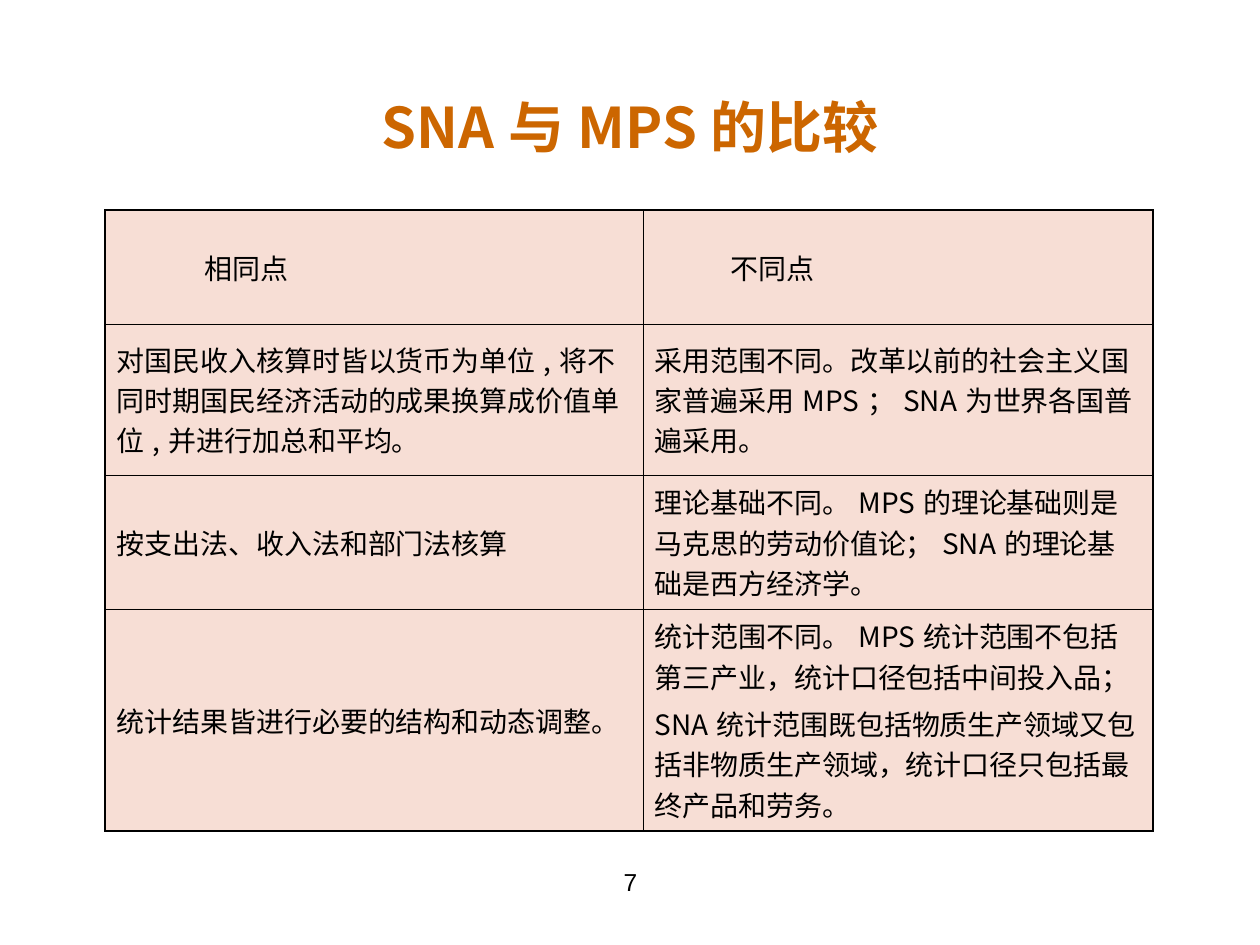
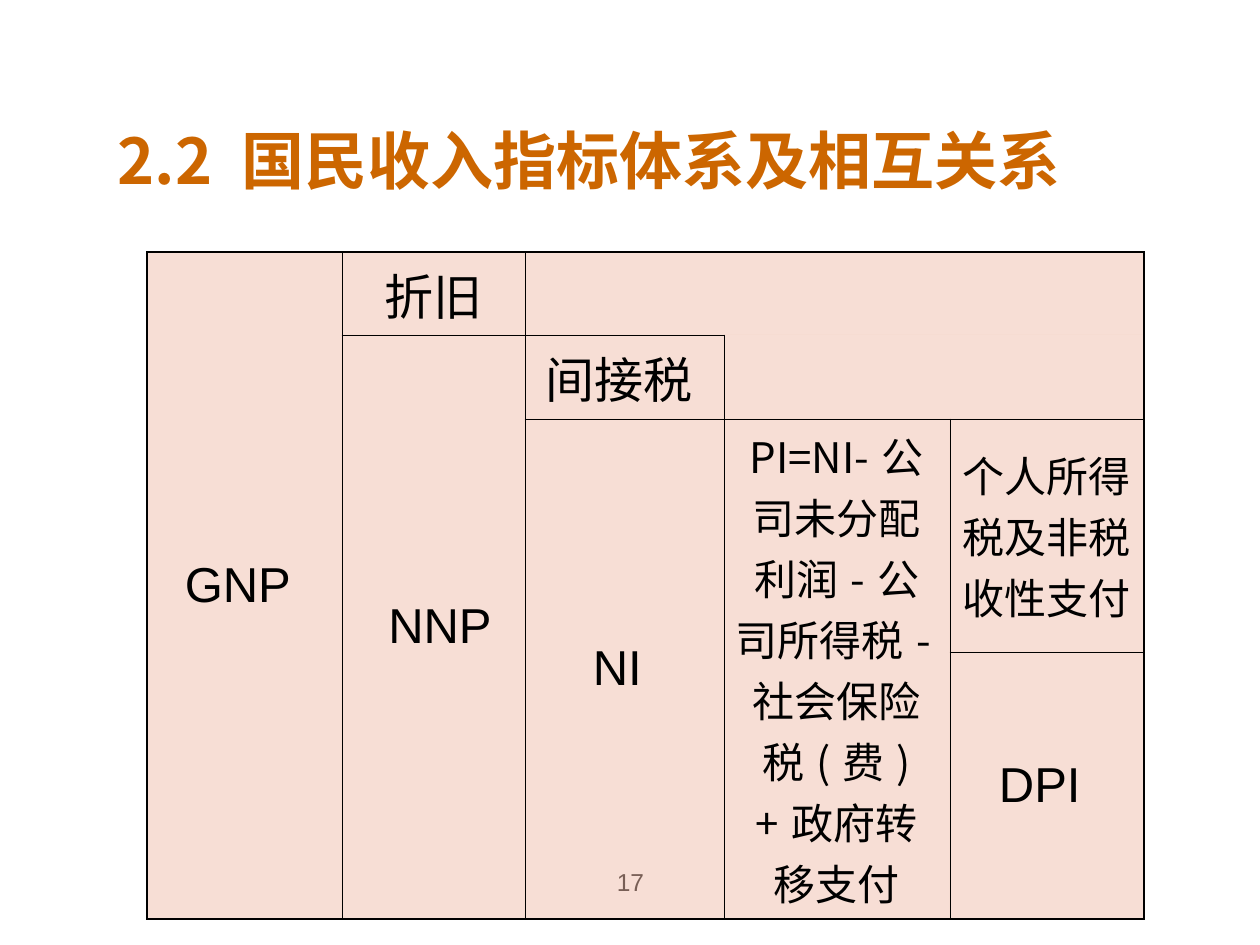
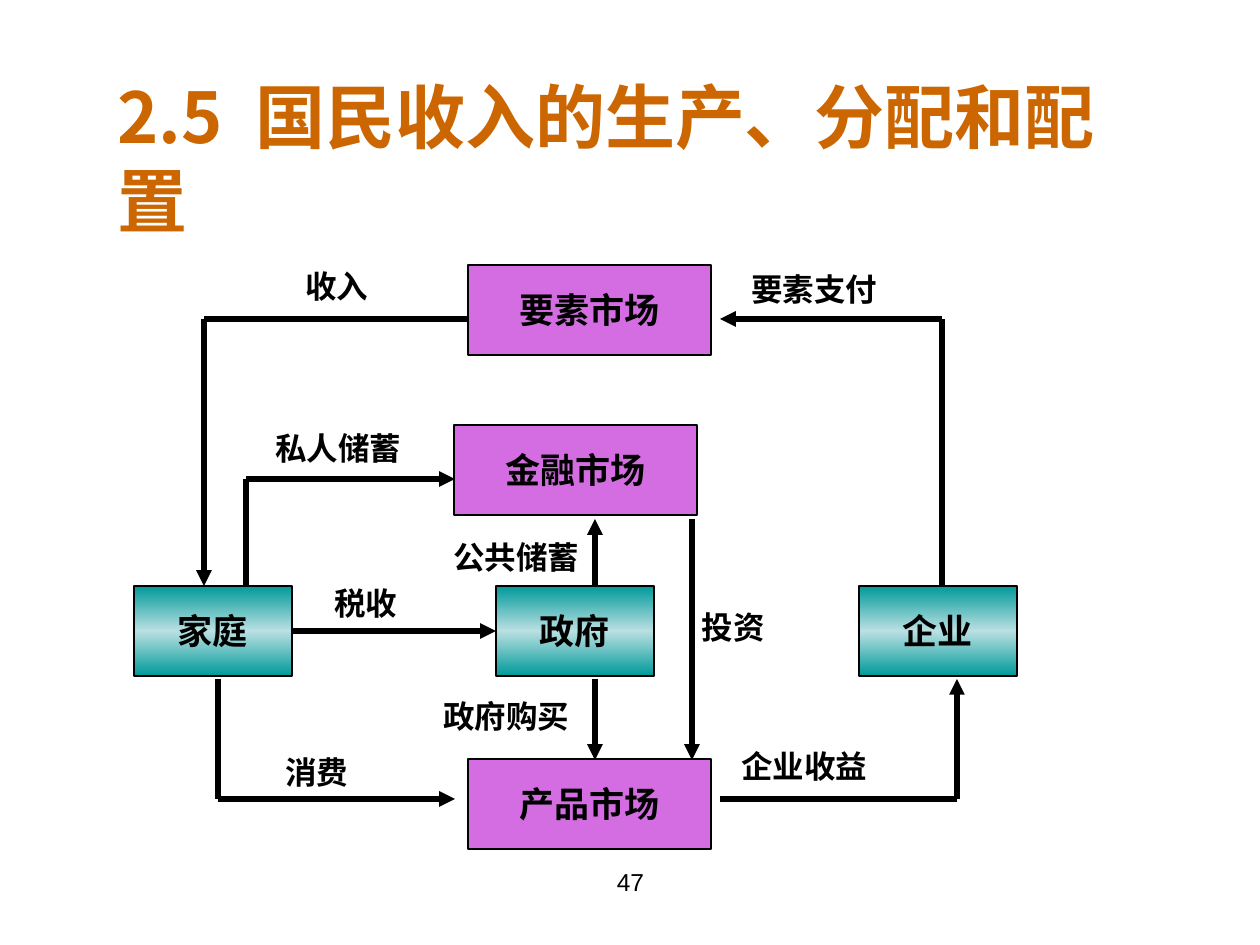
from copy import deepcopy
from dataclasses import dataclass
from itertools import product
from typing import Optional

from lxml.etree import SubElement
from pptx import Presentation
from pptx.dml.color import RGBColor
from pptx.enum.shapes import MSO_CONNECTOR, MSO_SHAPE
from pptx.enum.text import MSO_ANCHOR, MSO_AUTO_SIZE, PP_ALIGN
from pptx.oxml.ns import qn
from pptx.util import Emu, Pt

# Shared look
PX_PER_INCH = 126
COLORS = {
    "title": "CC6600",
    "text": "000000",
    "line": "000000",
    "cell": "F1BFAD",
    "market": "D36DE1",
    "sector_edge": "009999",
    "sector_middle": "BBE0E3",
}
CJK_FONT = "Noto Sans CJK SC"
LATIN_FONT = "Arial"
BOX_FONT = "Cabin"
PLAIN_TABLE_STYLE = "{2D5ABB26-0587-4C30-8999-92F81FD0307C}"
OUTER_BORDER, INNER_BORDER = Pt(1.08), Pt(0.45)


@dataclass
class Title:
    text: str
    box: tuple[int, int, int, int]
    size: int
    align: PP_ALIGN = PP_ALIGN.LEFT


@dataclass
class Cell:
    row: int
    column: int
    text: str = ""
    row_span: int = 1
    column_span: int = 1
    size: int = 28
    font: str = LATIN_FONT
    align: PP_ALIGN = PP_ALIGN.CENTER
    left_margin: int = 12
    open_side: str = ""


@dataclass
class Box:
    text: str
    left: int
    top: int
    is_market: bool = False


@dataclass
class Flow:
    label: str
    label_box: tuple[int, int, int]
    points: list[tuple[int, int]]
    align: PP_ALIGN = PP_ALIGN.LEFT
    source: Optional[str] = None
    target: Optional[str] = None


def px(value: int) -> Emu:
    return Emu(round(value * 914400 / PX_PER_INCH))


def color(name: str) -> RGBColor:
    return RGBColor.from_string(COLORS[name])


def style(paragraph, size: int, font: str, align: PP_ALIGN,
          bold: bool = False, color_name: str = "text") -> None:
    paragraph.alignment = align
    paragraph.font.size = Pt(size)
    paragraph.font.bold = bold
    paragraph.font.color.rgb = color(color_name)
    paragraph.font.name = font
    properties = paragraph._p.pPr.find(qn("a:defRPr"))
    SubElement(properties, qn("a:ea"), typeface=CJK_FONT)


def add_text(slide, text: str, left: int, top: int, width: int, height: int,
             size: int, align: PP_ALIGN, bold: bool = False) -> None:
    frame = slide.shapes.add_textbox(px(left), px(top), px(width), px(height)).text_frame
    frame.word_wrap = True
    frame.text = text
    style(frame.paragraphs[0], size, LATIN_FONT, align, bold)


def add_slide(presentation, title: Title, number: int):
    slide = presentation.slides.add_slide(presentation.slide_layouts[5])
    shape = slide.shapes.title
    shape.left, shape.top, shape.width, shape.height = map(px, title.box)
    frame = shape.text_frame
    frame.text = title.text
    frame.auto_size = MSO_AUTO_SIZE.NONE
    frame.vertical_anchor = MSO_ANCHOR.MIDDLE
    style(frame.paragraphs[0], title.size, CJK_FONT, title.align, True, "title")
    add_text(slide, str(number), 431, 861, 399, 65, 14, PP_ALIGN.CENTER)
    return slide


# Tables
def add_border(cell, side: str, width: Emu, is_open: bool) -> None:
    line = SubElement(cell._tc.get_or_add_tcPr(), qn(f"a:ln{side}"), w=str(int(width)))
    if is_open:
        SubElement(line, qn("a:noFill"))
    else:
        fill = SubElement(line, qn("a:solidFill"))
        SubElement(fill, qn("a:srgbClr"), val=COLORS["line"])


def format_region(table, spec: Cell) -> None:
    last_row = spec.row + spec.row_span - 1
    last_column = spec.column + spec.column_span - 1
    at_table_edge = {
        "L": spec.column == 0,
        "R": last_column == len(table.columns) - 1,
        "T": spec.row == 0,
        "B": last_row == len(table.rows) - 1,
    }
    for row, column in product(range(spec.row, last_row + 1),
                               range(spec.column, last_column + 1)):
        cell = table.cell(row, column)
        is_origin = (row, column) == (spec.row, spec.column)
        at_region_edge = {
            "L": column == spec.column,
            "R": column == last_column,
            "T": row == spec.row,
            "B": row == last_row,
        }
        for side, is_outer in at_table_edge.items():
            if is_origin or at_region_edge[side]:
                add_border(cell, side, OUTER_BORDER if is_outer else INNER_BORDER,
                           side == spec.open_side)
        cell.fill.solid()
        cell.fill.fore_color.rgb = color("cell")
        tint = cell._tc.tcPr.find(qn("a:solidFill")).find(qn("a:srgbClr"))
        SubElement(tint, qn("a:alpha"), val="50000")


def add_grid(slide, left: int, top: int, widths: list[int], heights: list[int],
             cells: list[Cell]) -> None:
    frame = slide.shapes.add_table(len(heights), len(widths), px(left), px(top),
                                   px(sum(widths)), px(sum(heights)))
    table = frame.table
    table.first_row = table.horz_banding = False
    table._tbl.tblPr.find(qn("a:tableStyleId")).text = PLAIN_TABLE_STYLE
    for column, width in zip(table.columns, widths):
        column.width = px(width)
    for row, height in zip(table.rows, heights):
        row.height = px(height)
    for spec in cells:
        cell = table.cell(spec.row, spec.column)
        if spec.row_span * spec.column_span > 1:
            cell.merge(table.cell(spec.row + spec.row_span - 1,
                                  spec.column + spec.column_span - 1))
        format_region(table, spec)
        cell.vertical_anchor = MSO_ANCHOR.MIDDLE
        cell.margin_left = px(spec.left_margin)
        if not spec.text:
            continue
        cell.text = spec.text
        for index, paragraph in enumerate(cell.text_frame.paragraphs):
            if index:
                paragraph.space_before = Pt(4)
            style(paragraph, spec.size, spec.font, spec.align)


# Flow diagram
def add_box(slide, box: Box):
    shape = slide.shapes.add_shape(MSO_SHAPE.RECTANGLE, px(box.left), px(box.top),
                                   px(243 if box.is_market else 158), px(90))
    shape.shadow.inherit = False
    shape.line.color.rgb = color("line")
    shape.line.width = Pt(0.75)
    if box.is_market:
        shape.fill.solid()
        shape.fill.fore_color.rgb = color("market")
    else:
        shape.fill.gradient()
        shape.fill.gradient_angle = 90
        stop_list = shape._element.spPr.find(qn("a:gradFill")).find(qn("a:gsLst"))
        stop_list.insert(1, deepcopy(stop_list[0]))
        names = ("sector_edge", "sector_middle", "sector_edge")
        for index, (stop, name) in enumerate(zip(shape.fill.gradient_stops, names)):
            stop.position = index / 2
            stop.color.rgb = color(name)
    frame = shape.text_frame
    frame.word_wrap = False
    frame.vertical_anchor = MSO_ANCHOR.MIDDLE
    frame.text = box.text
    style(frame.paragraphs[0], 20, BOX_FONT, PP_ALIGN.CENTER, True)
    return shape


def add_flow(slide, flow: Flow, shapes: dict) -> None:
    for start, end in zip(flow.points, flow.points[1:]):
        connector = slide.shapes.add_connector(
            MSO_CONNECTOR.STRAIGHT, *map(px, start), *map(px, end))
        connector.line.color.rgb = color("line")
        connector.line.width = Pt(3)
        if end == flow.points[-1]:
            SubElement(connector.line._get_or_add_ln(), qn("a:tailEnd"), type="triangle")
        SubElement(connector._element.spPr, qn("a:effectLst"))
        if flow.source:
            connector.begin_connect(shapes[flow.source], 3)
        if flow.target:
            connector.end_connect(shapes[flow.target], 1)
    left, top, width = flow.label_box
    add_text(slide, flow.label, left, top, width, 50, 18, flow.align, True)


# Slide contents
COMPARISON = [
    ("相同点", "不同点"),
    ("对国民收入核算时皆以货币为单位,将不同时期国民经济活动的成果换算成价值单位,并进行加总和平均。",
     "采用范围不同。改革以前的社会主义国家普遍采用MPS；SNA为世界各国普遍采用。"),
    ("按支出法、收入法和部门法核算",
     "理论基础不同。MPS的理论基础则是马克思的劳动价值论；SNA的理论基础是西方经济学。"),
    ("统计结果皆进行必要的结构和动态调整。",
     "统计范围不同。MPS统计范围不包括第三产业，统计口径包括中间投入品；\n"
     "SNA统计范围既包括物质生产领域又包括非物质生产领域，统计口径只包括最终产品和劳务。"),
]
HEADER_MARGINS = (100, 88)

INDICATORS = [
    Cell(0, 0, "GNP ", row_span=4),
    Cell(0, 1, "折旧"),
    Cell(0, 2, column_span=3, open_side="B"),
    Cell(1, 1, " NNP", row_span=3),
    Cell(1, 2, "间接税 "),
    Cell(1, 3, column_span=2, open_side="T"),
    Cell(2, 2, "NI ", row_span=2),
    Cell(2, 3, "PI=NI-公司未分配利润-公司所得税-社会保险税(费)+政府转移支付",
         row_span=2, size=24, font=CJK_FONT),
    Cell(2, 4, "个人所得税及非税收性支付 ", size=24),
    Cell(3, 4, "DPI "),
]

BOXES = [
    Box("企业", 859, 586),
    Box("家庭", 134, 586),
    Box("政府", 496, 586),
    Box("金融市场", 454, 425, True),
    Box("要素市场", 468, 265, True),
    Box("产品市场", 468, 759, True),
]

FLOWS = [
    Flow("收入", (293, 261, 96), [(469, 319), (204, 319), (204, 586)]),
    Flow("要素支付", (739, 264, 169), [(942, 586), (942, 319), (720, 319)]),
    Flow("私人储蓄", (263, 423, 195), [(246, 586), (246, 479), (455, 479)]),
    Flow("公共储蓄", (441, 532, 159), [(595, 586), (595, 519)]),
    Flow("税收", (322, 578, 96), [(292, 631), (496, 631)], source="家庭", target="政府"),
    Flow("投资", (670, 602, 127), [(692, 519), (692, 760)], PP_ALIGN.CENTER),
    Flow("政府购买", (431, 691, 169), [(595, 679), (595, 760)]),
    Flow("消费", (273, 747, 96), [(218, 679), (218, 799), (455, 799)]),
    Flow("企业收益", (729, 741, 194), [(720, 799), (957, 799), (957, 679)]),
]


def main() -> None:
    presentation = Presentation()
    presentation.slide_width, presentation.slide_height = px(1260), px(945)

    # Comparison of the two systems
    slide = add_slide(presentation, Title("SNA与MPS的比较", (221, 84, 819, 84), 32,
                                          PP_ALIGN.CENTER), 7)
    cells = [
        Cell(row, column, text, size=16, font=CJK_FONT, align=PP_ALIGN.LEFT,
             left_margin=12 if row else HEADER_MARGINS[column])
        for row, texts in enumerate(COMPARISON) for column, text in enumerate(texts)
    ]
    add_grid(slide, 105, 210, [538, 510], [114, 151, 134, 222], cells)

    # Income indicators
    slide = add_slide(presentation, Title("2.2 国民收入指标体系及相互关系",
                                          (105, 115, 1081, 88), 36), 17)
    add_grid(slide, 147, 252, [195, 183, 199, 226, 194], [83, 84, 233, 267], INDICATORS)

    # Circular flow of income
    slide = add_slide(presentation, Title("2.5 国民收入的生产、分配和配置",
                                          (105, 116, 1040, 84), 40), 47)
    shapes = {box.text: add_box(slide, box) for box in BOXES}
    for flow in FLOWS:
        add_flow(slide, flow, shapes)

    presentation.save("out.pptx")


if __name__ == "__main__":
    main()
